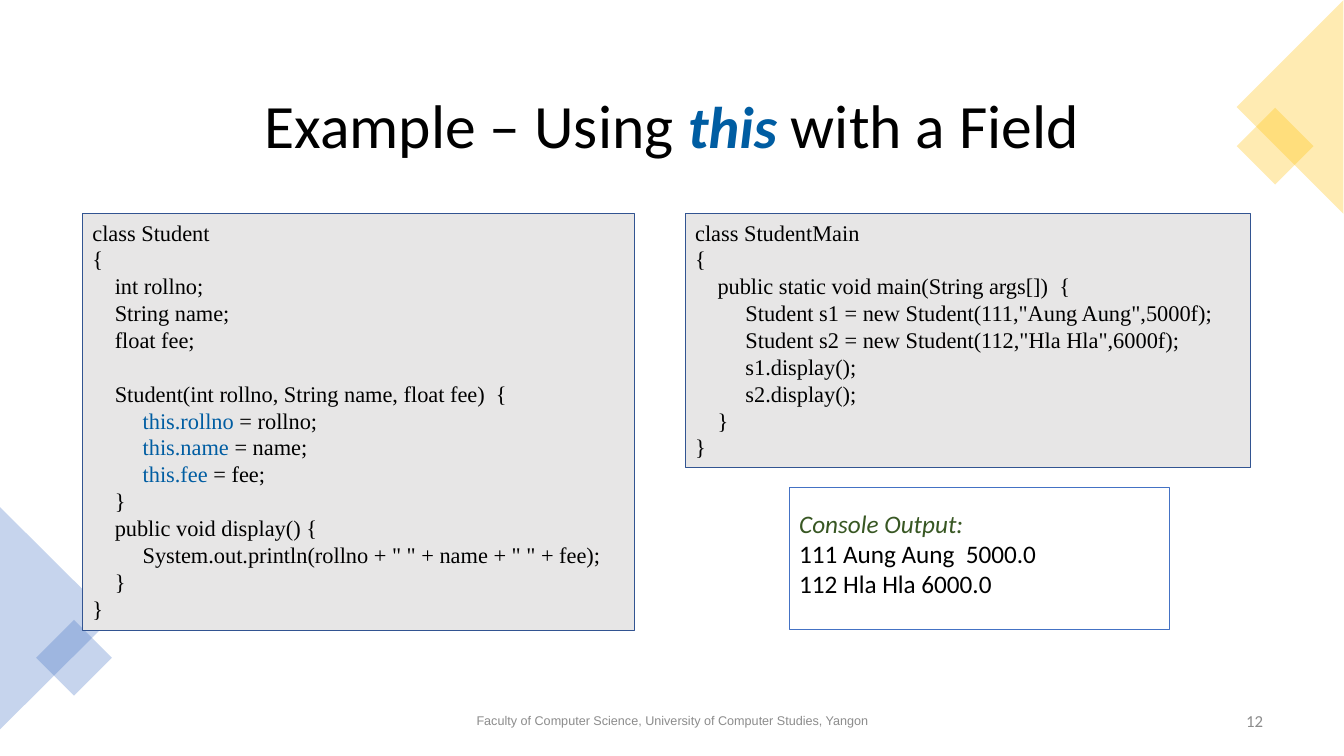
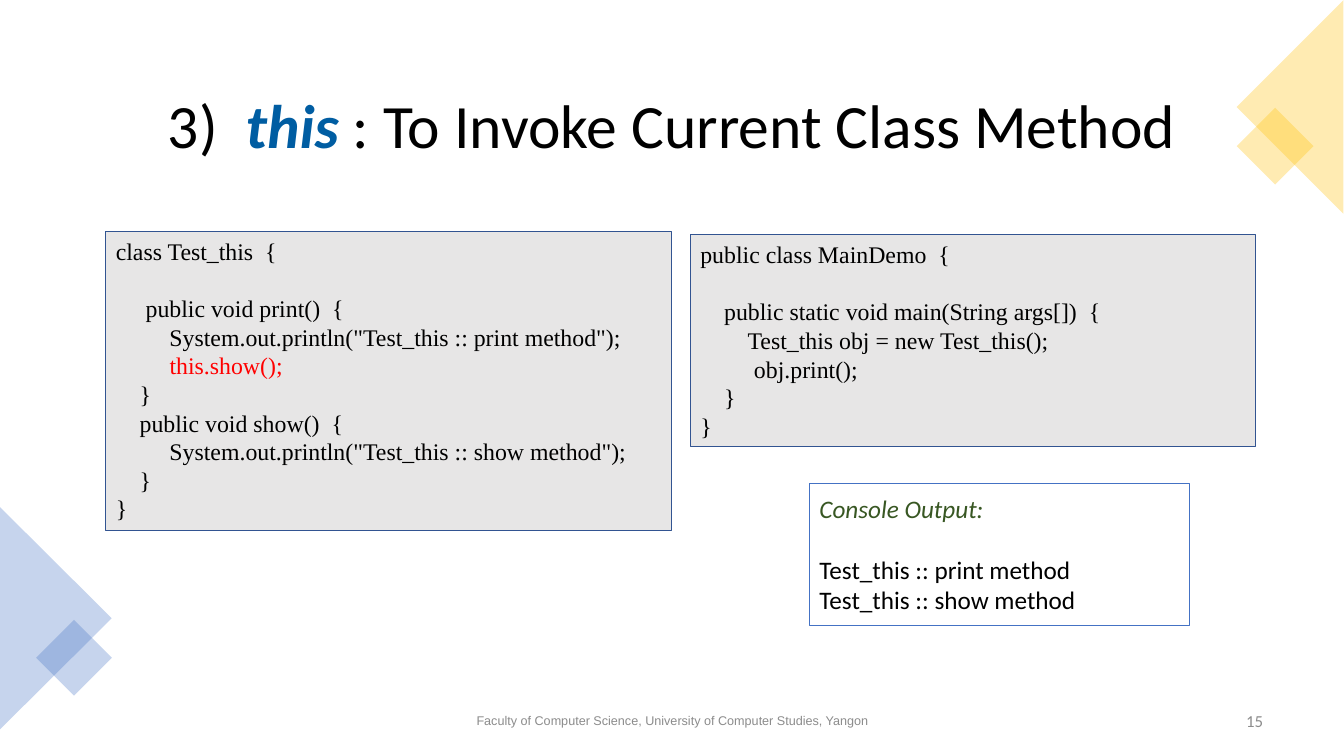
"""Build two Java lecture slides about the keyword this."""
import pptx
import pptx.dml.color
import pptx.enum.shapes
import pptx.enum.text
import pptx.oxml.ns
import pptx.util
from lxml import etree

Cm = pptx.util.Cm
Pt = pptx.util.Pt
RGBColor = pptx.dml.color.RGBColor
SHAPE = pptx.enum.shapes.MSO_SHAPE
ALIGN = pptx.enum.text.PP_ALIGN
ANCHOR = pptx.enum.text.MSO_ANCHOR

BLACK = RGBColor(0x00, 0x00, 0x00)
BLUE = RGBColor(0x44, 0x72, 0xC4)
GOLD = RGBColor(0xFF, 0xC0, 0x00)
KEYWORD = RGBColor(0x00, 0x5D, 0xA2)
RED = RGBColor(0xFF, 0x00, 0x00)
GREEN = RGBColor(0x38, 0x57, 0x23)
PANEL = RGBColor(0xE7, 0xE6, 0xE6)
PANEL_EDGE = RGBColor(0x32, 0x54, 0x91)
FOOTER_GRAY = RGBColor(0x8C, 0x8C, 0x8C)

FOOTER = "Faculty of Computer Science, University of Computer Studies, Yangon"
LINE_HEIGHT = 1.2

DECORATIONS = [
    (SHAPE.ISOSCELES_TRIANGLE, -1.4, 14.17, 5.61, 2.82, 90, BLUE),
    (SHAPE.RECTANGLE, 1.19, 15.9, 1.35, 1.35, 45, BLUE),
    (SHAPE.RECTANGLE, 31.45, 3, 1.37, 1.37, 45, GOLD),
    (SHAPE.ISOSCELES_TRIANGLE, 29.82, 1.35, 5.38, 2.69, 270, GOLD),
]

STUDENT = """class Student
{
    int rollno;
    String name;
    float fee;

    Student(int rollno, String name, float fee)  {
         this.rollno = rollno;
         this.name = name;
         this.fee = fee;
    }
    public void display() {
         System.out.println(rollno + " " + name + " " + fee);
    }
}"""

STUDENT_MAIN = """class StudentMain
{
    public static void main(String args[])  {
         Student s1 = new Student(111,"Aung Aung",5000f);
         Student s2 = new Student(112,"Hla Hla",6000f);
         s1.display();
         s2.display();
    }
}"""

STUDENT_OUTPUT = """Console Output:
111 Aung Aung  5000.0
112 Hla Hla 6000.0"""

TEST_THIS = """class Test_this  {

     public void print()  {
         System.out.println("Test_this :: print method");
         this.show();
    }
    public void show()  {
         System.out.println("Test_this :: show method");
    }
}"""

MAIN_DEMO = """public class MainDemo  {

    public static void main(String args[])  {
        Test_this obj = new Test_this();
         obj.print();
    }
}"""

TEST_OUTPUT = """Console Output:

Test_this :: print method
Test_this :: show method"""

FIELDS = ["this.rollno", "this.name", "this.fee"]

SLIDES = [
    {
        "title": "Example – Using this with a Field",
        "keyword_size": 42,
        "number": "12",
        "code_size": 16,
        "code": [
            (STUDENT, FIELDS, KEYWORD, 2.08, 5.38, 13.92, 10.52),
            (STUDENT_MAIN, [], BLACK, 17.27, 5.38, 14.25, 6.4),
        ],
        "output": (STUDENT_OUTPUT, 19.89, 12.29, 0.51, 0.76),
    },
    {
        "title": "3)  this : To Invoke Current Class Method",
        "keyword_size": 44,
        "number": "15",
        "code_size": 17,
        "code": [
            (TEST_THIS, ["this.show();"], RED, 2.67, 5.84, 14.25, 7.52),
            (MAIN_DEMO, [], BLACK, 17.4, 5.92, 14.25, 5.33),
        ],
        "output": (TEST_OUTPUT, 20.4, 12.19, 0.25, 0.25),
    },
]


def add_runs(para, text, font, size, color=BLACK, marks=(), mark_color=BLACK,
             mark_size=None, bold=False, italic=False):
    """Add the text, with the first mark found in it set apart."""
    mark = next((word for word in marks if word in text), None)
    parts = text.partition(mark) if mark else (text,)
    for part in filter(None, parts):
        marked = part == mark
        span = para.add_run()
        span.text = part
        span.font.name = font
        span.font.size = Pt(mark_size or size if marked else size)
        span.font.color.rgb = mark_color if marked else color
        span.font.bold = marked and bold
        span.font.italic = marked and italic


def add_panel(page, text, left, top, width, height, fill, edge, align, font, size,
              marks, mark_color, italic=False, inset_top=0.13, inset_bottom=0.13):
    """Add a framed panel whose empty lines become space before the next line."""
    box = page.shapes.add_shape(SHAPE.RECTANGLE, Cm(left), Cm(top), Cm(width), Cm(height))
    box.shadow.inherit = False
    if fill is None:
        box.fill.background()
    else:
        box.fill.solid()
        box.fill.fore_color.rgb = fill
    box.line.color.rgb = edge
    box.line.width = Pt(0.75)
    frame = box.text_frame
    frame.word_wrap = True
    frame.vertical_anchor = ANCHOR.TOP
    frame.margin_top = Cm(inset_top)
    frame.margin_bottom = Cm(inset_bottom)
    gap = 0
    for index, line in enumerate(text.split("\n")):
        if not line:
            gap += size * LINE_HEIGHT
            continue
        para = frame.add_paragraph() if index else frame.paragraphs[0]
        para.alignment = align
        if gap:
            para.space_before = Pt(gap)
            gap = 0
        add_runs(para, line, font, size, marks=marks, mark_color=mark_color, italic=italic)


deck = pptx.Presentation()
deck.slide_width = Cm(33.87)
deck.slide_height = Cm(19.05)

for content in SLIDES:
    page = deck.slides.add_slide(deck.slide_layouts[5])

    for kind, left, top, width, height, angle, color in DECORATIONS:
        shape = page.shapes.add_shape(kind, Cm(left), Cm(top), Cm(width), Cm(height))
        shape.rotation = angle
        shape.shadow.inherit = False
        shape.fill.solid()
        shape.fill.fore_color.rgb = color
        shape.line.fill.background()
        tint = shape.fill._xPr.find(".//" + pptx.oxml.ns.qn("a:srgbClr"))
        etree.SubElement(tint, pptx.oxml.ns.qn("a:alpha")).set("val", "30000")

    for text, left, width, align, font, size in [
        (FOOTER, 11.23, 11.43, ALIGN.CENTER, "Arial", 9),
        (content["number"], 24.46, 7.62, ALIGN.RIGHT, "Calibri", 12),
    ]:
        box = page.shapes.add_textbox(Cm(left), Cm(17.65), Cm(width), Cm(1.02))
        box.text_frame.word_wrap = True
        box.text_frame.vertical_anchor = ANCHOR.MIDDLE
        para = box.text_frame.paragraphs[0]
        para.alignment = align
        para.space_after = Pt(6)
        add_runs(para, text, font, size, FOOTER_GRAY)

    title = page.shapes.title
    title.left, title.top = Cm(2.33), Cm(1.4)
    title.width, title.height = Cm(29.21), Cm(3.68)
    title.text_frame.vertical_anchor = ANCHOR.MIDDLE
    para = title.text_frame.paragraphs[0]
    para.alignment = ALIGN.CENTER
    para.line_spacing = 0.9
    add_runs(para, content["title"], "Calibri", 44, marks=["this"], mark_color=KEYWORD,
             mark_size=content["keyword_size"], bold=True, italic=True)

    for text, marks, mark_color, left, top, width, height in content["code"]:
        add_panel(page, text, left, top, width, height, PANEL, PANEL_EDGE, ALIGN.JUSTIFY,
                  "Times New Roman", content["code_size"], marks, mark_color)

    text, left, top, inset_top, inset_bottom = content["output"]
    add_panel(page, text, left, top, 9.58, 3.58, None, BLUE, ALIGN.LEFT, "Calibri", 18,
              ["Console Output:"], GREEN, True, inset_top, inset_bottom)

deck.save("out.pptx")
